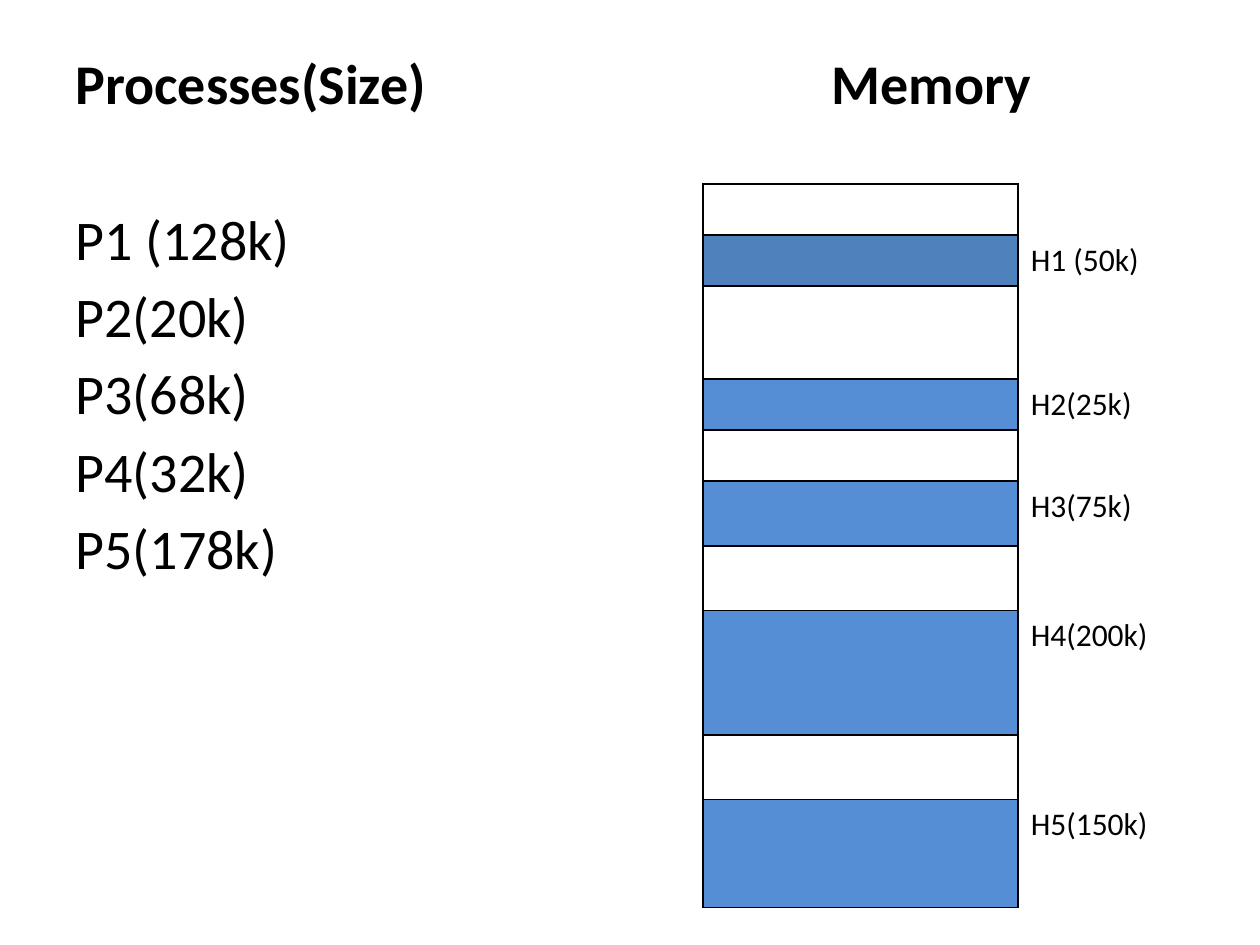
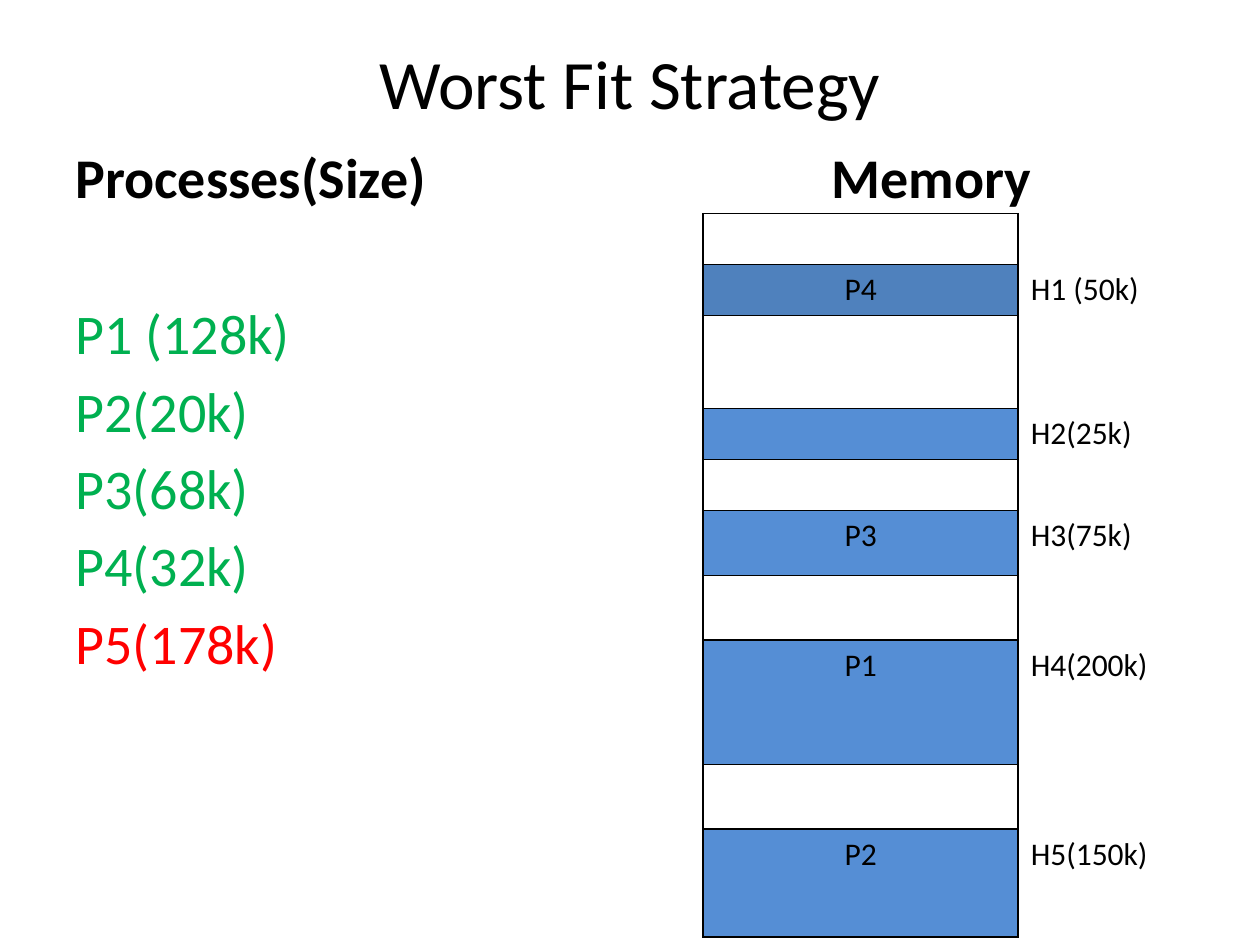
"""Build two slides on placing processes into memory holes."""
from dataclasses import dataclass

from lxml.etree import SubElement
from pptx import Presentation
from pptx.dml.color import RGBColor
from pptx.enum.text import MSO_ANCHOR, MSO_AUTO_SIZE, PP_ALIGN
from pptx.oxml.ns import qn
from pptx.util import Pt


@dataclass(frozen=True)
class Theme:
    """Colours, type sizes and spacing shared by the slides."""
    font: str = "Calibri"
    black: str = "000000"
    first_hole: str = "4F81BD"
    hole: str = "558ED5"
    placed: str = "00B050"
    waiting: str = "FF0000"
    title_size: float = 39.6
    body_size: float = 32
    cell_size: float = 18
    body_gap: float = 5.8
    list_gap: float = 50.7


THEME = Theme()
TITLE_ONLY, BLANK = 5, 6
PLAIN_TABLE_STYLE = "{2D5ABB26-0587-4C30-8999-92F81FD0307C}"
MEMORY_TAB = 432
MEMORY_COLUMNS = (180, 84)
PROCESSES = ("P1 (128k)", "P2(20k)", "P3(68k)", "P4(32k)", "P5(178k)")
MEMORY_ROWS = (
    (29.2, ""), (29.2, "H1 (50k)"), (53, ""), (29.2, "H2(25k)"),
    (29.2, ""), (37.2, "H3(75k)"), (36.7, ""), (71.3, "H4(200k)"),
    (36.7, ""), (61.9, "H5(150k)"),
)
WORST_FIT = {"H1 (50k)": "P4", "H3(75k)": "P3", "H4(200k)": "P1", "H5(150k)": "P2"}


def add_run(paragraph, text, size, color=THEME.black, bold=False):
    """Add one formatted run to a paragraph."""
    run = paragraph.add_run()
    run.text = text
    run.font.name = THEME.font
    run.font.size = Pt(size)
    run.font.bold = bold
    run.font.color.rgb = RGBColor.from_string(color)


def add_title(slide, text, left, top, width, height):
    """Place and format the title placeholder."""
    title = slide.shapes.title
    title.left, title.top, title.width, title.height = map(Pt, (left, top, width, height))
    frame = title.text_frame
    frame.auto_size = MSO_AUTO_SIZE.NONE
    frame.vertical_anchor = MSO_ANCHOR.MIDDLE
    paragraph = frame.paragraphs[0]
    paragraph.alignment = PP_ALIGN.CENTER
    add_run(paragraph, text, THEME.title_size)


def add_process_list(slide, colors, left, top, width, height):
    """Add the heading line and the list of processes below it."""
    frame = slide.shapes.add_textbox(*map(Pt, (left, top, width, height))).text_frame
    frame.word_wrap = True
    heading = frame.paragraphs[0]
    add_run(heading, "Processes(Size)\tMemory", THEME.body_size, bold=True)
    tabs = SubElement(heading._p.get_or_add_pPr(), qn("a:tabLst"))
    SubElement(tabs, qn("a:tab"), pos=str(Pt(MEMORY_TAB)), algn="l")
    for index, (process, color) in enumerate(zip(PROCESSES, colors)):
        paragraph = frame.add_paragraph()
        paragraph.space_before = Pt(THEME.body_gap if index else THEME.list_gap)
        add_run(paragraph, process, THEME.body_size, color)


def add_borders(cell, sides):
    """Draw a thin black line on the named sides of a cell."""
    properties = cell._tc.get_or_add_tcPr()
    for side in sides:
        line = SubElement(properties, qn(f"a:ln{side}"), w=str(Pt(1)))
        fill = SubElement(line, qn("a:solidFill"))
        SubElement(fill, qn("a:srgbClr"), val=THEME.black)


def fill_cell(cell, text, sides, color=None, alignment=PP_ALIGN.LEFT):
    """Set the borders, fill and text of one cell."""
    add_borders(cell, sides)
    if color:
        cell.fill.solid()
        cell.fill.fore_color.rgb = RGBColor.from_string(color)
    else:
        cell.fill.background()
    if text:
        paragraph = cell.text_frame.paragraphs[0]
        paragraph.alignment = alignment
        add_run(paragraph, text, THEME.cell_size)


def add_memory_table(slide, placements, left, top):
    """Add the memory map with its holes and the processes placed in them."""
    height = sum(row_height for row_height, _ in MEMORY_ROWS)
    box = map(Pt, (left, top, sum(MEMORY_COLUMNS), height))
    table = slide.shapes.add_table(len(MEMORY_ROWS), len(MEMORY_COLUMNS), *box).table
    table.first_row = table.horz_banding = False
    next(table._tbl.iter(qn("a:tableStyleId"))).text = PLAIN_TABLE_STYLE
    for column, width in zip(table.columns, MEMORY_COLUMNS):
        column.width = Pt(width)
    for index, (row_height, hole) in enumerate(MEMORY_ROWS):
        table.rows[index].height = Pt(row_height)
        color = (THEME.first_hole if index == 1 else THEME.hole) if hole else None
        fill_cell(table.cell(index, 0), placements.get(hole), "LRTB", color, PP_ALIGN.CENTER)
        fill_cell(table.cell(index, 1), hole, "L")


def build_problem_slide(presentation):
    """Show the waiting processes beside the empty memory holes."""
    slide = presentation.slides.add_slide(presentation.slide_layouts[BLANK])
    add_process_list(slide, [THEME.black] * len(PROCESSES), 36, 24, 648, 458)
    add_memory_table(slide, {}, 401.8, 105.1)


def build_worst_fit_slide(presentation):
    """Show where the worst fit strategy places each process."""
    slide = presentation.slides.add_slide(presentation.slide_layouts[TITLE_ONLY])
    add_title(slide, "Worst Fit Strategy", 36, 21.6, 648, 50.4)
    colors = [THEME.placed if process.split("(")[0].strip() in WORST_FIT.values()
              else THEME.waiting for process in PROCESSES]
    add_process_list(slide, colors, 36, 78, 648, 462)
    add_memory_table(slide, WORST_FIT, 401.8, 122)


def main():
    """Build and save the presentation."""
    presentation = Presentation()
    presentation.slide_width, presentation.slide_height = Pt(720), Pt(540)
    build_problem_slide(presentation)
    build_worst_fit_slide(presentation)
    presentation.save("out.pptx")


if __name__ == "__main__":
    main()
